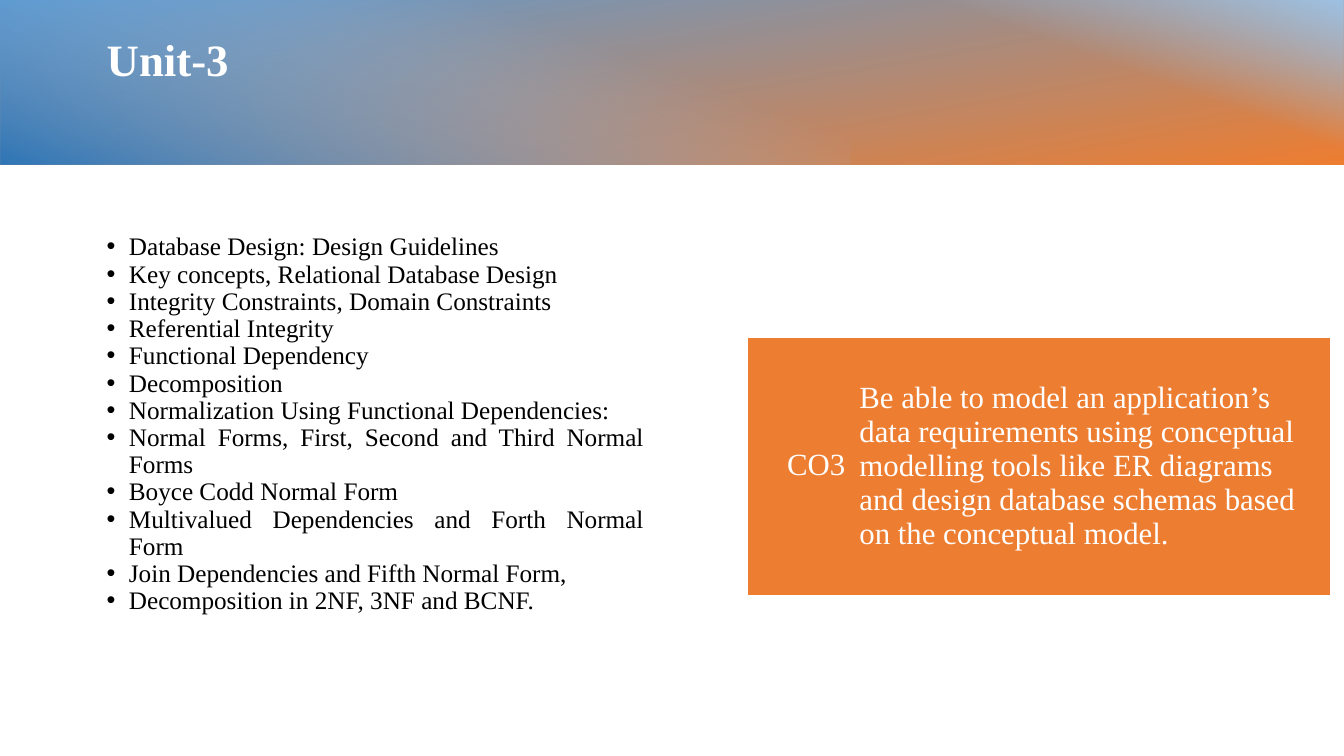
from lxml import etree
from pptx import Presentation
from pptx import util as u
from pptx.dml.color import RGBColor
from pptx.enum import shapes, text
from pptx.oxml import parse_xml
from pptx.oxml.ns import nsdecls, qn

FONT = "Times New Roman"
WHITE, BLACK, ORANGE = "FFFFFF", "000000", "ED7D31"
NO_STYLE = "{2D5ABB26-0587-4C30-8999-92F81FD0307C}"
BAND_HEIGHT, BAND_MIDDLE = 4.22, 2.03


def color(value):
    return RGBColor.from_string(value)


def write(paragraph, words, size, fill, bold=False):
    """Add one formatted run to the paragraph."""
    run = paragraph.add_run()
    run.text = words
    for name, value in {"name": FONT, "size": u.Pt(size), "bold": bold}.items():
        setattr(run.font, name, value)
    run.font.color.rgb = color(fill)


presentation = Presentation()
presentation.slide_width, presentation.slide_height = u.Cm(33.87), u.Cm(19.05)
slide = presentation.slides.add_slide(presentation.slide_layouts[6])

# Header: upright rectangles turned sideways, so gradients turn with them.
# left, width on the slide, rotation, gradient angle, stops (percent, colour, opacity)
bands = [
    (0, 33.87, 270, 170, [(0, "5B9BD5", 100), (100, ORANGE, 100)]),
    (19.8, 14.07, 270, 20, [(59, "9DC3E6", 0), (100, "9DC3E6", 100)]),
    (0, 21.44, 90, 20, [(29, "9DC3E6", 0), (100, "2E75B6", 100)]),
]
for left, length, rotation, angle, stops in bands:
    band = slide.shapes.add_shape(
        shapes.MSO_SHAPE.RECTANGLE,
        u.Cm(left + (length - BAND_HEIGHT) / 2), u.Cm(BAND_MIDDLE - length / 2),
        u.Cm(BAND_HEIGHT), u.Cm(length))
    band.rotation = rotation
    band.shadow.inherit = False
    band.line.fill.background()
    stop_xml = "".join(
        f'<a:gs pos="{place * 1000}"><a:srgbClr val="{fill}">'
        f'<a:alpha val="{opacity * 1000}"/></a:srgbClr></a:gs>'
        for place, fill, opacity in stops)
    gradient = parse_xml(
        f'<a:gradFill {nsdecls("a")} rotWithShape="1"><a:gsLst>{stop_xml}</a:gsLst>'
        f'<a:lin ang="{angle * 60000}" scaled="0"/></a:gradFill>')
    band._element.spPr.find(qn("a:prstGeom")).addnext(gradient)

title = slide.shapes.add_textbox(u.Cm(2.44), u.Cm(0.84), u.Cm(29.11), u.Cm(2.79))
title.text_frame.word_wrap = True
title.text_frame.margin_top = u.Cm(0.12)
heading = title.text_frame.paragraphs[0]
heading.line_spacing = 0.9
write(heading, "Unit-3", 32, WHITE, bold=True)

topics = [
    "Database Design: Design Guidelines",
    "Key concepts, Relational Database Design",
    "Integrity Constraints, Domain Constraints",
    "Referential Integrity",
    "Functional Dependency",
    "Decomposition",
    "Normalization Using Functional Dependencies:",
    "Normal Forms, First, Second and Third Normal Forms",
    "Boyce Codd Normal Form",
    "Multivalued Dependencies and Forth Normal Form",
    "Join Dependencies and Fifth Normal Form,",
    "Decomposition in 2NF, 3NF and BCNF.",
]
body = slide.shapes.add_textbox(u.Cm(2.44), u.Cm(5.03), u.Cm(15.67), u.Cm(11.86))
frame = body.text_frame
for name, value in {"word_wrap": True, "margin_top": u.Cm(0.87),
                    "margin_right": u.Cm(1.88)}.items():
    setattr(frame, name, value)
for number, topic in enumerate(topics):
    paragraph = frame.add_paragraph() if number else frame.paragraphs[0]
    paragraph.alignment = text.PP_ALIGN.JUSTIFY
    paragraph.line_spacing = 0.9
    write(paragraph, topic, 18, BLACK)
    properties = paragraph._p.get_or_add_pPr()
    properties.set("marL", str(u.Cm(0.56)))
    properties.set("indent", str(-u.Cm(0.56)))
    etree.SubElement(properties, qn("a:buFont"), typeface="Arial")
    etree.SubElement(properties, qn("a:buChar"), char="•")

outcome_frame = slide.shapes.add_table(
    1, 2, u.Cm(18.85), u.Cm(8.51), u.Cm(14.66), u.Cm(6.48))
outcome = outcome_frame.table
outcome.first_row = outcome.horz_banding = False
outcome._tbl.tblPr.find(qn("a:tableStyleId")).text = NO_STYLE
outcomes = [
    (2.65, "CO3", (0.05, 0.33, 0.2, 0),
     {"alignment": text.PP_ALIGN.RIGHT, "line_spacing": u.Pt(13.2)}),
    (12.01, "Be able to model an application’s data requirements using conceptual "
     "modelling tools like ER diagrams and design database schemas based on the "
     "conceptual model.", (0.16, 0, 0.5, 0), {"space_before": u.Pt(2.8)}),
]
for column, (width, words, margins, settings) in enumerate(outcomes):
    outcome.columns[column].width = u.Cm(width)
    cell = outcome.cell(0, column)
    cell.fill.solid()
    cell.fill.fore_color.rgb = color(ORANGE)
    cell.vertical_anchor = text.MSO_ANCHOR.MIDDLE
    for side, margin in zip(("left", "top", "right", "bottom"), margins):
        setattr(cell, f"margin_{side}", u.Cm(margin))
    paragraph = cell.text_frame.paragraphs[0]
    for name, value in settings.items():
        setattr(paragraph, name, value)
    write(paragraph, words, 22, WHITE)

presentation.save("out.pptx")
